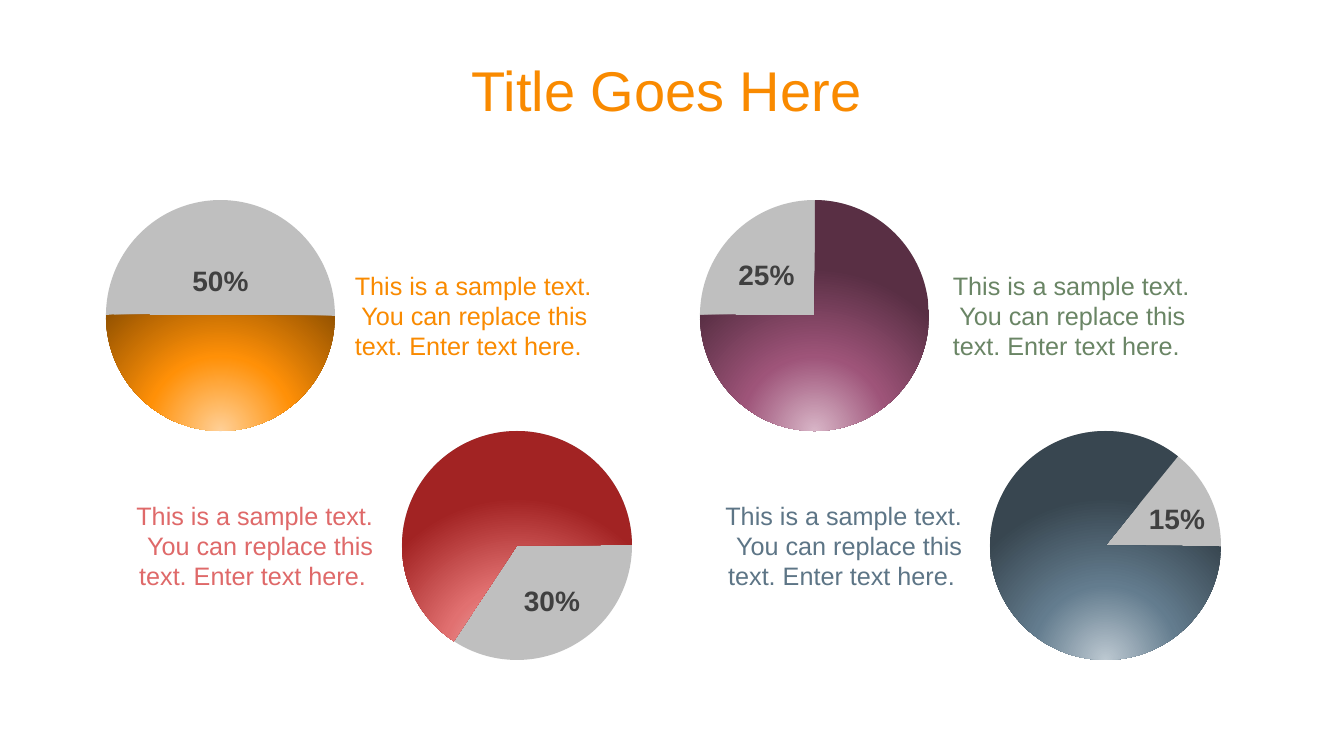
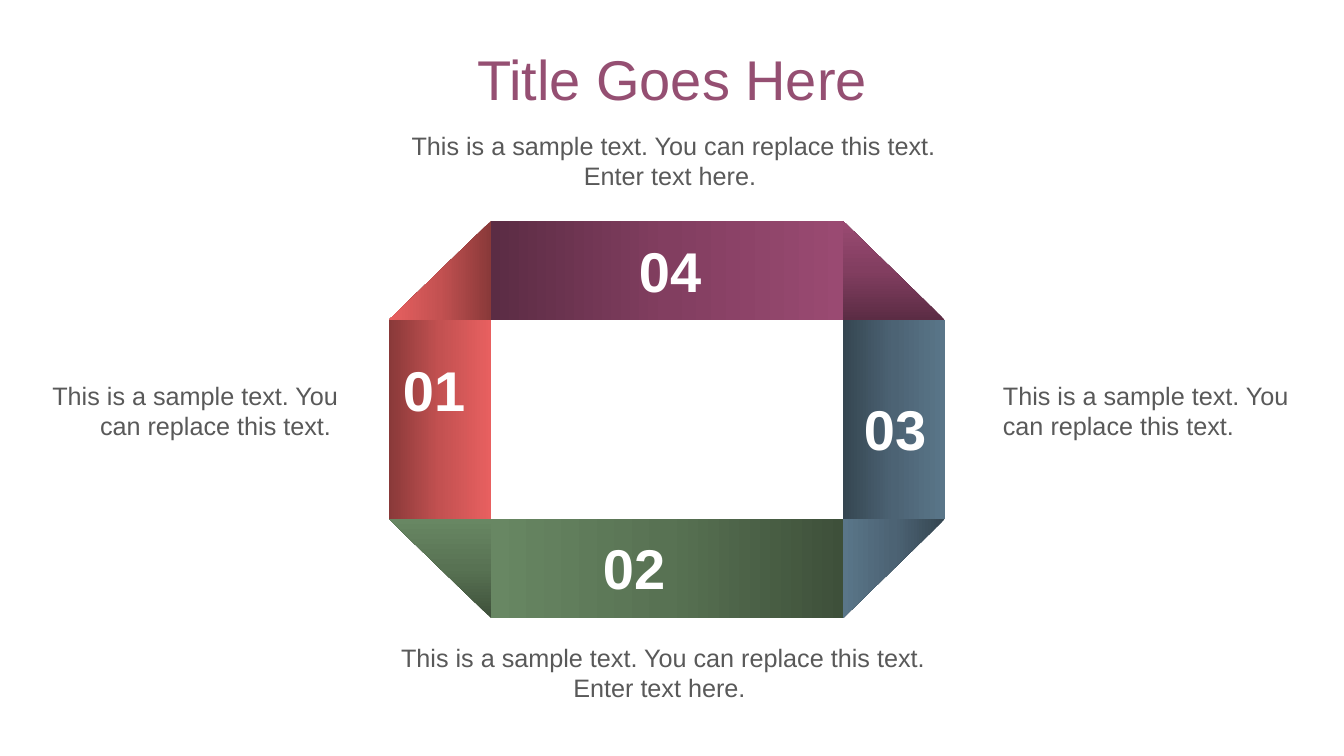
"""Build two slides: four share pies and a folded ribbon frame."""
from lxml.etree import SubElement
from pptx import Presentation
from pptx.dml.color import RGBColor
from pptx.enum.shapes import MSO_SHAPE
from pptx.enum.text import MSO_AUTO_SIZE, PP_ALIGN
from pptx.oxml import parse_xml
from pptx.oxml.ns import nsdecls, qn
from pptx.util import Inches, Pt

HUES = {
    "orange": "F98A00", "plum": "954F72", "red": "DF6969",
    "green": "6A8565", "slate": "5D7586", "rest": "BFBFBF",
    "dark": "404040", "body": "595959", "white": "FFFFFF",
}
GLOWS = {
    "orange": ((0, "FFD097"), (46, "FF9007"), (100, "955300")),
    "plum": ((0, "D8B5C7"), (46, "9E5479"), (100, "592F44")),
    "red": ((0, "F2C3C3"), (46, "E17070"), (100, "A22323")),
    "slate": ((0, "BCC8D1"), (46, "637C8E"), (100, "384650")),
}
FOLDS = {
    "red": ((0, "893939"), (50, "C35151"), (100, "E86060")),
    "green": ((0, "3E503A"), (50, "587253"), (100, "688763")),
    "plum": ((0, "5B2C44"), (50, "823E60"), (100, "9A4A72")),
    "slate": ((0, "354651"), (50, "4C6374"), (100, "5A7689")),
}
TITLE = "Title Goes Here"
FIRST = "This is a sample text."
SHORT = FIRST + " You can replace this text. "
LONG = SHORT + "Enter text here. "
NOTE = (FIRST, " You can replace this text. Enter text here. ")

# hue, pie box, arc in degrees, label and its box, note place, note hue, align
PIES = [
    ("red", (402, 431, 230, 229), (123.46, 359.68), "30%",
     (508, 579, 88, 44), (89, 495), "red", "r"),
    ("plum", (700, 200, 229, 231), (270.29, 180.37), "25%",
     (727, 253, 79, 44), (943, 265), "green", "l"),
    ("slate", (990, 431, 231, 229), (0.4, 309.13), "15%",
     (1133, 497, 88, 44), (678, 495), "slate", "r"),
    ("orange", (106, 200, 229, 231), (0.26, 180.4), "50%",
     (173, 259, 95, 44), (345, 265), "orange", "l"),
]
COLS = ((389, 102), (491, 352), (843, 102))
ROWS = ((221, 99), (320, 199), (519, 99))
# hue, band cell, band angle, corner cell, corner turn, corner angle on slide
BANDS = [
    ("red", (0, 1), 0, (0, 0), 270, 180),
    ("green", (1, 2), 180, (0, 2), 180, 270),
    ("plum", (1, 0), 0, (2, 0), 0, 270),
    ("slate", (2, 1), 0, (2, 2), 90, 180),
]
NUMBERS = [("01", 393, 351), ("02", 593, 529), ("03", 854, 390), ("04", 629, 232)]
NOTES = [
    (SHORT, (28, 375, 320, 72), "r"),
    (SHORT, (993, 375, 320, 72), "l"),
    (LONG, (382, 637, 562, 72), "c"),
    (LONG, (387, 125, 573, 72), "c"),
]
SIDES = {"l": PP_ALIGN.LEFT, "c": PP_ALIGN.CENTER, "r": PP_ALIGN.RIGHT}
UNIT = Inches(7.5) / 756


def emu(box):
    return [round(n * UNIT) for n in box]


def write(slide, box, text, size=18, hue="body", bold=False, side="l"):
    frame = slide.shapes.add_textbox(*emu(box)).text_frame
    frame.word_wrap = True
    frame.auto_size = MSO_AUTO_SIZE.SHAPE_TO_FIT_TEXT
    lines = (text,) if isinstance(text, str) else text
    for i, line in enumerate(lines):
        para = frame.add_paragraph() if i else frame.paragraphs[0]
        para.alignment = SIDES[side]
        run = para.add_run()
        run.text = line
        font = run.font
        font.name, font.size, font.bold = "Arial", Pt(size), bold
        font.color.rgb = RGBColor.from_string(HUES[hue])


def draw(slide, kind, box):
    shape = slide.shapes.add_shape(kind, *emu(box))
    shape.shadow.inherit = False
    shape.line.fill.background()
    return shape


def blend(shape, stops, angle=None):
    grad = parse_xml(f'<a:gradFill {nsdecls("a")} rotWithShape="1"/>')
    group = SubElement(grad, qn("a:gsLst"))
    for pos, hue in stops:
        stop = SubElement(group, qn("a:gs"), pos=str(pos * 1000))
        SubElement(stop, qn("a:srgbClr"), val=hue)
    if angle is None:
        way = SubElement(grad, qn("a:path"), path="circle")
        SubElement(way, qn("a:fillToRect"), l="50000", t="130000",
                   r="50000", b="-30000")
    else:
        SubElement(grad, qn("a:lin"), ang=str(angle * 60000), scaled="0")
    shape.element.spPr.insert(2, grad)


def cell(spot):
    (left, wide), (top, high) = COLS[spot[0]], ROWS[spot[1]]
    return left, top, wide, high


def corner(slide, spot, turn, stops, angle):
    left, top, wide, high = cell(spot)
    if turn % 180:
        shift = (wide - high) / 2
        left, top, wide, high = left + shift, top - shift, high, wide
    shape = draw(slide, MSO_SHAPE.RIGHT_TRIANGLE, (left, top, wide, high))
    shape.rotation = turn
    blend(shape, stops, (angle - turn) % 360)


def shares(slide):
    for hue, box, arc, label, spot, place, tint, side in PIES:
        disc = draw(slide, MSO_SHAPE.OVAL, box)
        disc.fill.solid()
        disc.fill.fore_color.rgb = RGBColor.from_string(HUES["rest"])
        pie = draw(slide, MSO_SHAPE.PIE, box)
        for i, angle in enumerate(arc):
            pie.adjustments[i] = angle * 0.6
        blend(pie, GLOWS[hue])
        write(slide, (*place, 294, 102), NOTE, hue=tint, side=side)
        write(slide, spot, label, size=20, hue="dark", bold=True, side="c")
    write(slide, (59, 51, 1215, 78), TITLE, size=40, hue="orange", side="c")


def ribbon(slide):
    for hue, spot, angle, fold, turn, lean in BANDS:
        blend(draw(slide, MSO_SHAPE.RECTANGLE, cell(spot)), FOLDS[hue], angle)
        corner(slide, fold, turn, FOLDS[hue], lean)
    write(slide, (49, 40, 1246, 78), TITLE, size=40, hue="plum", side="c")
    for text, box, side in NOTES:
        write(slide, box, text, side=side)
    for text, left, top in NUMBERS:
        write(slide, (left, top, 91, 78), text, size=40, hue="white", bold=True)


deck = Presentation()
deck.slide_width, deck.slide_height = emu((1344, 756))
for build in (shares, ribbon):
    build(deck.slides.add_slide(deck.slide_layouts[6]))
deck.save("out.pptx")
